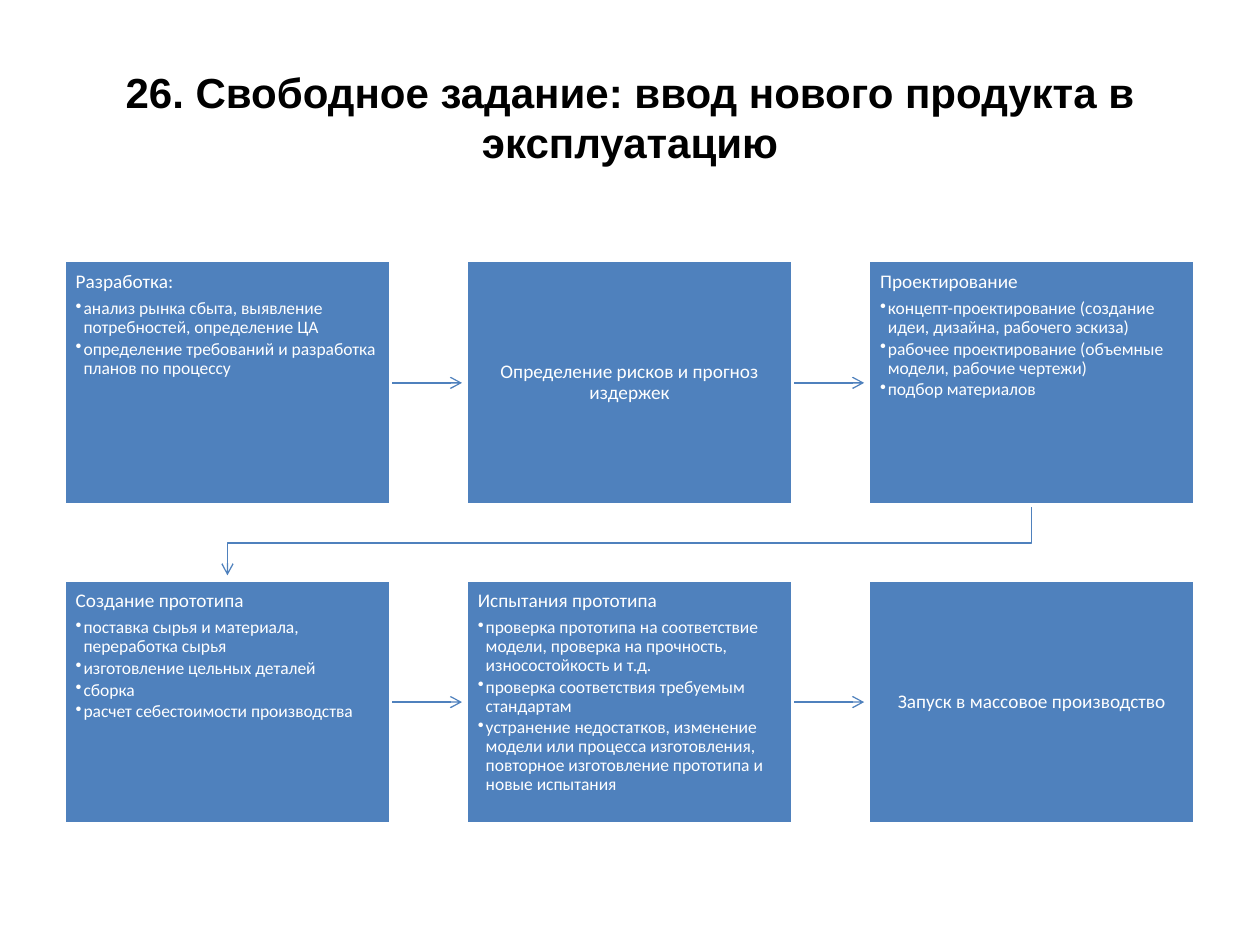
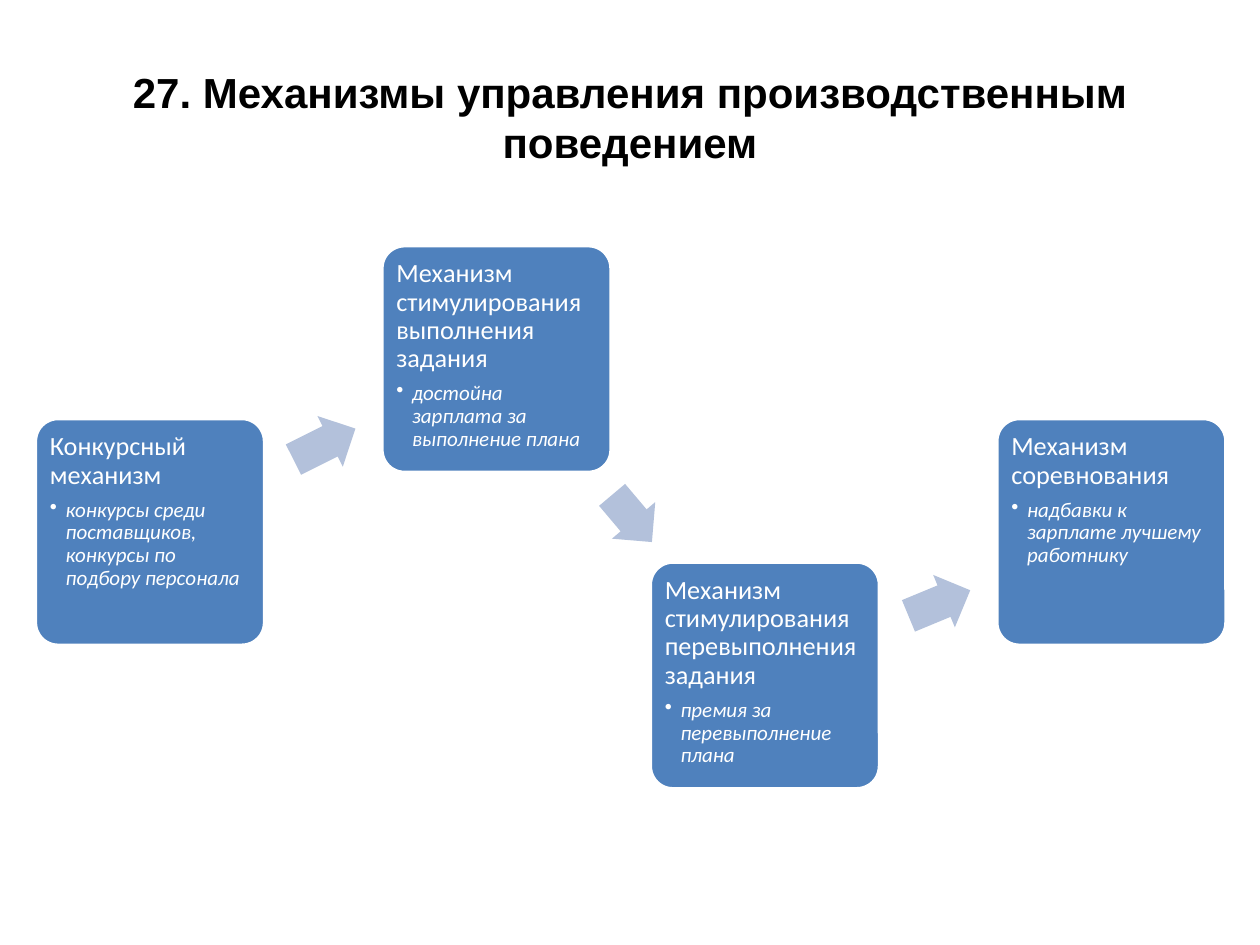
from dataclasses import dataclass

from lxml import etree
from pptx import Presentation
from pptx.dml.color import RGBColor
from pptx.enum import shapes, text
from pptx.oxml import ns
from pptx.util import Pt


@dataclass(frozen=True)
class Theme:
    blue: str = "4F81BD"
    pale: str = "B3C1DB"
    white: str = "FFFFFF"
    black: str = "000000"
    title_font: str = "Arial"
    body_font: str = "Calibri"
    title_size: float = 24
    border: float = 2
    line: float = 0.75


@dataclass(frozen=True)
class CardStyle:
    shape: int
    w: float
    h: float
    inset: float
    head_size: float
    item_size: float
    indent: float
    italic: bool = False


T = Theme()
STEP = CardStyle(shapes.MSO_SHAPE.RECTANGLE, 186.4, 139.6, 6.5, 11, 10, 4.5)
MECHANISM = CardStyle(shapes.MSO_SHAPE.ROUNDED_RECTANGLE, 131, 129.6, 4.5, 15, 12, 9, True)
TITLE_BOX = (36, 21.6, 648, 90)

STEPS = [
    ("Разработка:", ["анализ рынка сбыта, выявление потребностей, определение ЦА",
                     "определение требований и разработка планов по процессу"]),
    ("Определение рисков и прогноз издержек", []),
    ("Проектирование", ["концепт-проектирование (создание идеи, дизайна, рабочего эскиза)",
                        "рабочее проектирование (объемные модели, рабочие чертежи)",
                        "подбор материалов"]),
    ("Создание прототипа", ["поставка сырья и материала, переработка сырья",
                            "изготовление цельных деталей",
                            "сборка",
                            "расчет себестоимости производства"]),
    ("Испытания прототипа", ["проверка прототипа на соответствие модели, проверка на прочность, "
                             "износостойкость и т.д.",
                             "проверка соответствия требуемым стандартам",
                             "устранение недостатков, изменение модели или процесса изготовления, "
                             "повторное изготовление прототипа и новые испытания"]),
    ("Запуск в массовое производство", []),
]

# left and top within the diagram, heading, item
MECHANISMS = [
    (0, 98.8, "Конкурсный механизм",
     "конкурсы среди поставщиков, конкурсы по подбору персонала"),
    (198, 0, "Механизм стимулирования выполнения задания",
     "достойна зарплата за выполнение плана"),
    (351.4, 180.8, "Механизм стимулирования перевыполнения задания",
     "премия за перевыполнение плана"),
    (549.4, 98.8, "Механизм соревнования",
     "надбавки к зарплате лучшему работнику"),
]

# left, top and width within the diagram, rotation
MECHANISM_ARROWS = [
    (145.4, 97.2, 39.6, 333.4),
    (323.3, 139.7, 35.3, 49.8),
    (497.5, 188, 38.2, 337.5),
]


def rgb(color):
    return RGBColor.from_string(color)


def pts(*values):
    return [Pt(v) for v in values]


def set_all(obj, formats):
    for name, value in formats.items():
        setattr(obj, name, value)


def paint(sp, fill, border=None):
    sp.shadow.inherit = False
    sp.fill.solid()
    sp.fill.fore_color.rgb = rgb(fill)
    if border:
        sp.line.color.rgb = rgb(border)
        sp.line.width = Pt(T.border)
    else:
        sp.line.fill.background()


def write(p, words, size, color, font, **formats):
    r = p.add_run()
    r.text = words
    set_all(r.font, {"size": Pt(size), "name": font, **formats})
    r.font.color.rgb = rgb(color)


def add_title(s, words):
    tf = s.shapes.add_textbox(*pts(*TITLE_BOX)).text_frame
    set_all(tf, {"word_wrap": True, "vertical_anchor": text.MSO_ANCHOR.MIDDLE})
    p = tf.paragraphs[0]
    p.alignment = text.PP_ALIGN.CENTER
    write(p, words, T.title_size, T.black, T.title_font, bold=True)


def add_bullet(p, indent):
    pPr = p._p.get_or_add_pPr()
    pPr.set("marL", str(Pt(indent)))
    pPr.set("indent", str(-Pt(indent)))
    etree.SubElement(pPr, ns.qn("a:buChar")).set("char", "•")


def add_card(s, x, y, style, heading, items):
    """Draw a heading over bullets, or a centred heading when there are none."""
    sp = s.shapes.add_shape(style.shape, *pts(x, y, style.w, style.h))
    if len(sp.adjustments):
        sp.adjustments[0] = 0.1
    paint(sp, T.blue, T.white)
    tf = sp.text_frame
    sides = ("left", "top", "right", "bottom")
    set_all(tf, {f"margin_{side}": Pt(style.inset) for side in sides})
    anchor = text.MSO_ANCHOR.TOP if items else text.MSO_ANCHOR.MIDDLE
    set_all(tf, {"word_wrap": True, "vertical_anchor": anchor})

    p = tf.paragraphs[0]
    align = text.PP_ALIGN.LEFT if items else text.PP_ALIGN.CENTER
    set_all(p, {"alignment": align, "line_spacing": 0.9,
                "space_after": Pt(0.35 * style.head_size)})
    write(p, heading, style.head_size, T.white, T.body_font)
    for item in items:
        p = tf.add_paragraph()
        set_all(p, {"level": 1, "alignment": text.PP_ALIGN.LEFT, "line_spacing": 0.9,
                    "space_after": Pt(0.15 * style.item_size)})
        add_bullet(p, style.indent)
        write(p, item, style.item_size, T.white, T.body_font, italic=style.italic)
    return sp


def style_arrow(sp):
    sp.line.color.rgb = rgb(T.blue)
    sp.line.width = Pt(T.line)
    sp.line._get_or_add_ln().append(etree.Element(ns.qn("a:tailEnd"), type="arrow"))
    etree.SubElement(sp._element.spPr, ns.qn("a:effectLst"))


def add_step_arrow(s, card, length):
    """Run an arrow right from a card, beneath the card borders."""
    x, y = card.left + card.width, card.top + card.height // 2
    c = s.shapes.add_connector(shapes.MSO_CONNECTOR.STRAIGHT, x, y, x + Pt(length), y)
    c.begin_connect(card, 3)
    style_arrow(c)
    c._element.getparent().insert(2, c._element)


def add_return_arrow(s, x1, y1, x2, y2):
    """Lead from the end of the first row down to the start of the second."""
    bend = y1 + 21.8
    fb = s.shapes.build_freeform(Pt(x1), Pt(y1))
    fb.add_line_segments([pts(x1, bend), pts(x2, bend), pts(x2, y2)], close=False)
    sp = fb.convert_to_shape()
    sp.fill.background()
    style_arrow(sp)


def add_process(s, x, y, columns=3, pitch_x=229.8, pitch_y=182.4):
    mid = x + STEP.w / 2
    add_return_arrow(s, mid + (columns - 1) * pitch_x, y + STEP.h,
                     mid, y + pitch_y - 2.6)
    for i, (heading, items) in enumerate(STEPS):
        row, col = divmod(i, columns)
        card = add_card(s, x + col * pitch_x, y + row * pitch_y, STEP, heading, items)
        if col < columns - 1:
            add_step_arrow(s, card, pitch_x - STEP.w - 2.6)


def add_mechanisms(s, x, y):
    for dx, dy, heading, item in MECHANISMS:
        add_card(s, x + dx, y + dy, MECHANISM, heading, [item])
    for dx, dy, w, angle in MECHANISM_ARROWS:
        sp = s.shapes.add_shape(shapes.MSO_SHAPE.RIGHT_ARROW, *pts(x + dx, y + dy, w, 32.4))
        sp.adjustments[0], sp.adjustments[1] = 0.6, 0.5
        sp.rotation = angle
        paint(sp, T.pale)


def main():
    prs = Presentation()
    prs.slide_width, prs.slide_height = pts(720, 540)
    for title, add_diagram, x, y in [
        ("26. Свободное задание: ввод нового продукта в эксплуатацию", add_process, 36.8, 149),
        ("27. Механизмы управления производственным поведением", add_mechanisms, 20.2, 140.4),
    ]:
        s = prs.slides.add_slide(prs.slide_layouts[6])
        add_title(s, title)
        add_diagram(s, x, y)
    prs.save("out.pptx")


if __name__ == "__main__":
    main()
